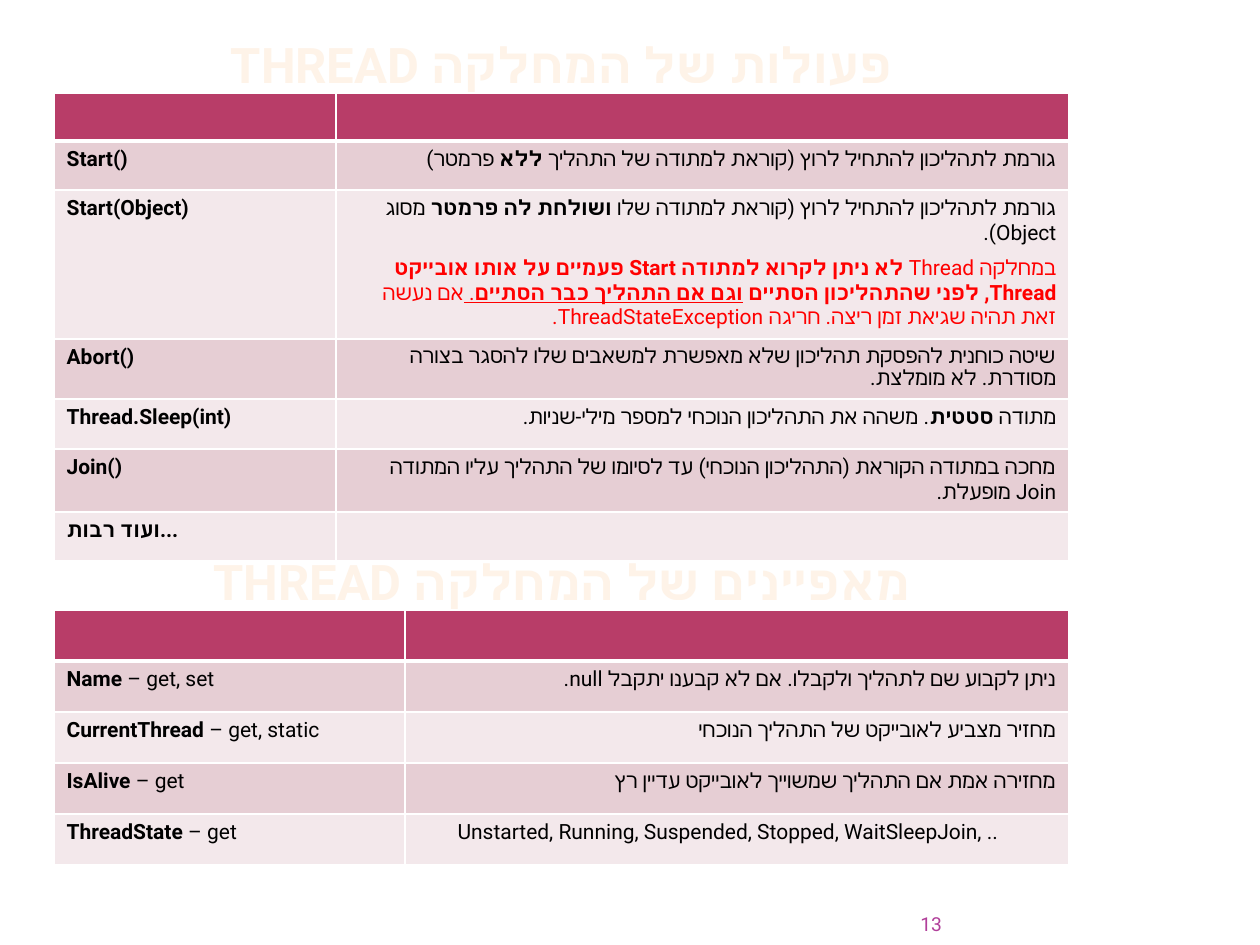
"""Build a slide with two tables on the methods and properties of the Thread class."""
from lxml import etree
from pptx import Presentation
from pptx.dml.color import RGBColor
from pptx.enum import text
from pptx.oxml.ns import qn
from pptx.util import Pt

PX = 7257
FONT = "Roboto"
COLORS = {"header": "B83D68", "odd": "E6CED4", "even": "F3E8EB", "border": "FFFFFF",
          "title": "FEF3E8", "body": "000000", "warn": "FF0000", "number": "B13F9A"}
ALIGN = {"l": text.PP_ALIGN.LEFT, "c": text.PP_ALIGN.CENTER, "r": text.PP_ALIGN.RIGHT}


def write(tf, runs, size=12, color="body", align="l", rtl=False, before=0, indent=0, spacing=None):
    """Add a paragraph of (text, style) runs; style holds b for bold and u for underline."""
    p = tf.paragraphs[0] if not tf.text else tf.add_paragraph()
    p.alignment = ALIGN[align]
    p.space_before = Pt(before)
    if spacing:
        p.line_spacing = spacing
    pPr = p._p.get_or_add_pPr()
    if rtl:
        pPr.set("rtl", "1")
    if indent:
        pPr.set("marL", str(indent * PX))
    for words, style in runs:
        r = p.add_run()
        r.text = words
        r.font.name = FONT
        r.font.size = Pt(size)
        r.font.bold = "b" in style
        r.font.underline = "u" in style
        r.font.color.rgb = RGBColor.from_string(COLORS[color])
        etree.SubElement(r._r.get_or_add_rPr(), qn("a:cs")).set("typeface", FONT)
    if not runs:
        p._p.get_or_add_endParaRPr().set("sz", str(size * 100))


def style_cell(cell, fill, bottom):
    """Fill a cell and give it white borders."""
    cell.fill.solid()
    cell.fill.fore_color.rgb = RGBColor.from_string(COLORS[fill])
    tcPr = cell._tc.get_or_add_tcPr()
    for i, (side, width) in enumerate((("L", 1), ("R", 1), ("T", 1), ("B", bottom))):
        ln = etree.Element(qn(f"a:ln{side}"), w=str(Pt(width)))
        solid = etree.SubElement(ln, qn("a:solidFill"))
        etree.SubElement(solid, qn("a:srgbClr")).set("val", COLORS["border"])
        tcPr.insert(i, ln)


HEBREW = {"align": "r", "rtl": True}
SPACED = {**HEBREW, "before": 6}

methods = [
    ([("Start()", "b")],
     [([("גורמת לתהליכון להתחיל לרוץ (קוראת למתודה של התהליך ", ""), ("ללא", "b"),
        (" פרמטר)", "")], HEBREW)]),
    ([("Start(Object)", "b")],
     [([("גורמת לתהליכון להתחיל לרוץ (קוראת למתודה שלו ", ""), ("ושולחת לה פרמטר ", "b"),
        ("מסוג Object).", "")], SPACED),
      ([("במחלקה Thread ", ""),
        ("לא ניתן לקרוא למתודה Start פעמיים על אותו אובייקט Thread, לפני שהתהליכון הסתיים ", "b"),
        ("וגם אם התהליך כבר הסתיים", "bu"), (". ", "u"),
        ("אם נעשה זאת תהיה שגיאת זמן ריצה. חריגה ThreadStateException.", "")],
       {**SPACED, "color": "warn"})]),
    ([("Abort()", "b")],
     [([("שיטה כוחנית להפסקת תהליכון שלא מאפשרת למשאבים שלו להסגר בצורה מסודרת. לא מומלצת.", "")],
       {**HEBREW, "spacing": 0.9})]),
    ([("Thread.Sleep(int)", "b")],
     [([("מתודה ", ""), ("סטטית", "b"),
        (". משהה את התהליכון הנוכחי למספר מילי-שניות.", "")], HEBREW)]),
    ([("Join()", "b")],
     [([("מחכה במתודה הקוראת (התהליכון הנוכחי) עד לסיומו של התהליך עליו המתודה Join מופעלת.", "")],
       HEBREW)]),
    ([("ועוד רבות...", "b")], [([], {})]),
]
properties = [
    ([("Name ", "b"), ("– get, set", "")],
     [([("ניתן לקבוע שם לתהליך ולקבלו. אם לא קבענו יתקבל null.", "")], SPACED)]),
    ([("CurrentThread", "b"), (" – get, static", "")],
     [([("מחזיר מצביע לאובייקט של התהליך הנוכחי", "")], SPACED)]),
    ([("IsAlive", "b"), (" – get", "")],
     [([("מחזירה אמת אם התהליך שמשוייך לאובייקט עדיין רץ", "")], SPACED)]),
    ([("ThreadState", "b"), (" – get", "")],
     [([("Unstarted, Running, Suspended, Stopped, WaitSleepJoin, ..", "")],
       {"indent": 40, "before": 5})]),
]
LEFT, WIDTH, TITLE_H = 54, 1015, 64
sections = [
    ("THREAD פעולות של המחלקה", 93, 282, [48, 49, 143, 60, 50, 62, 49], methods),
    ("THREAD מאפיינים של המחלקה", 610, 351, [51] * 5, properties),
]

prs = Presentation()
prs.slide_width, prs.slide_height = 1260 * PX, 945 * PX
s = prs.slides.add_slide(prs.slide_layouts[6])

labels = [(title, LEFT, top - TITLE_H, WIDTH, TITLE_H, 6,
           {"size": 28, "color": "title", "align": "c"}, "b")
          for title, top, *_ in sections]
labels.append(("13", 862, 903, 80, 32, 0, {"size": 11, "color": "number", **HEBREW}, ""))
for words, x, y, w, h, inset, fmt, style in labels:
    tf = s.shapes.add_textbox(x * PX, y * PX, w * PX, h * PX).text_frame
    tf.word_wrap = True
    tf.vertical_anchor = text.MSO_ANCHOR.BOTTOM
    tf.margin_left = tf.margin_right = inset * PX
    tf.margin_top = tf.margin_bottom = 0
    write(tf, [(words, style)], **fmt)

for title, top, first_col, heights, rows in sections:
    table = s.shapes.add_table(len(heights), 2, LEFT * PX, top * PX,
                               WIDTH * PX, sum(heights) * PX).table
    table.columns[0].width = first_col * PX
    table.columns[1].width = (WIDTH - first_col) * PX
    blank = ([], [([], {})])
    for i, (height, (name, notes)) in enumerate(zip(heights, [blank] + rows)):
        table.rows[i].height = height * PX
        fill = "header" if i == 0 else "odd" if i % 2 else "even"
        for cell in table.rows[i].cells:
            style_cell(cell, fill, 3 if i == 0 else 1)
        write(table.cell(i, 0).text_frame, name)
        for runs, fmt in notes:
            write(table.cell(i, 1).text_frame, runs, **fmt)

prs.save("out.pptx")
